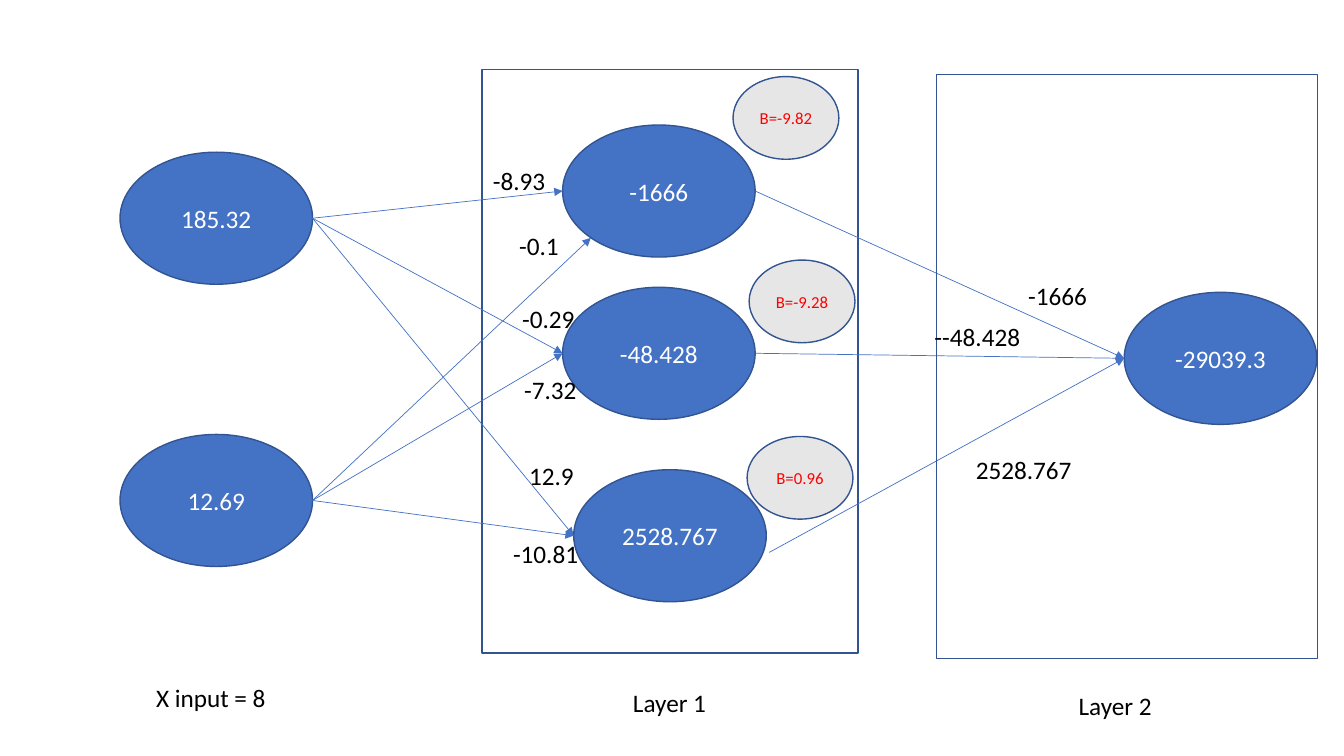
import pptx
import pptx.dml.color
import pptx.enum.shapes
import pptx.enum.text
import pptx.oxml
import pptx.oxml.ns
import pptx.util
from pptx.util import Inches, Pt

RGBColor = pptx.dml.color.RGBColor
MSO_SHAPE = pptx.enum.shapes.MSO_SHAPE
PP_ALIGN = pptx.enum.text.PP_ALIGN

WHITE = RGBColor(0xFF, 0xFF, 0xFF)
BLACK = RGBColor(0, 0, 0)
RED = RGBColor(0xFF, 0, 0)
BLUE = RGBColor(0x44, 0x72, 0xC4)
OUTLINE = RGBColor(0x32, 0x54, 0x91)
GREY = RGBColor(0xE7, 0xE6, 0xE6)

FONT = "Calibri"
NODE_SIZE = (1.91, 1.31)
BIAS_SIZE = (1.05, 0.82)
LABEL_HEIGHT = 0.4

LAYER_1_FRAME = (4.78, 0.69, 3.73, 5.79)
LAYER_2_FRAME = (9.29, 0.74, 3.78, 5.79)

# name: (text, left, top)
NODES = {
    "input 1": ("185.32", 1.19, 1.51),
    "input 2": ("12.69", 1.19, 4.31),
    "output": ("-29039.3", 11.15, 2.9),
    "hidden 1": ("-1666", 5.58, 1.24),
    "hidden 2": ("-48.428", 5.58, 2.85),
    "hidden 3": ("2528.767", 5.69, 4.66),
}
BIASES = [
    ("B=-9.82", 7.27, 0.76),
    ("B=-9.28", 7.43, 2.58),
    ("B=0.96", 7.41, 4.33),
]
LINKS = [
    ("input 1", "hidden 1"),
    ("input 2", "hidden 1"),
    ("input 1", "hidden 2"),
    ("input 2", "hidden 2"),
    ("input 1", "hidden 3"),
    ("input 2", "hidden 3"),
    ("hidden 1", "output"),
    ("hidden 2", "output"),
    ("hidden 3", "output"),
]
# Arrow ends that do not sit at the left or right middle of a node
SPECIAL_STARTS = {("hidden 3", "output"): (7.63, 5.48)}
SPECIAL_ENDS = {("input 2", "hidden 1"): (5.86, 2.36)}

# text, left, top, width
LABELS = [
    ("-8.93", 4.79, 1.59, 1.07),
    ("-0.1", 5.05, 2.24, 1.07),
    ("-0.29", 5.08, 2.96, 1.07),
    ("-7.32", 5.1, 3.66, 1.07),
    ("12.9", 5.15, 4.52, 1.07),
    ("-10.81", 4.99, 5.29, 1.07),
    ("2528.767", 9.58, 4.46, 1.57),
    ("--48.428", 9.17, 3.14, 1.07),
    ("-1666", 10.1, 2.73, 1.07),
    ("X input = 8", 1.45, 6.72, 1.34),
    ("Layer 1", 6.18, 6.77, 1.07),
    ("Layer 2", 10.6, 6.8, 1.07),
]


def write(shape, text, size, color, align):
    para = shape.text_frame.paragraphs[0]
    para.text = text
    para.alignment = align
    font = para.runs[0].font
    font.name, font.size, font.color.rgb = FONT, Pt(size), color


def add_outlined(page, kind, bounds, fill):
    """Add a preset shape with the common outline; fill None leaves it open."""
    shape = page.shapes.add_shape(kind, *map(Inches, bounds))
    shape.shadow.inherit = False
    if fill is None:
        shape.fill.background()
    else:
        shape.fill.solid()
        shape.fill.fore_color.rgb = fill
    shape.line.color.rgb = OUTLINE
    shape.line.width = Pt(1)
    return shape


def add_oval(page, text, left, top, dimensions, fill, size, color):
    oval = add_outlined(page, MSO_SHAPE.OVAL, (left, top, *dimensions), fill)
    oval.text_frame.vertical_anchor = pptx.enum.text.MSO_ANCHOR.MIDDLE
    write(oval, text, size, color, PP_ALIGN.CENTER)


def add_arrow(page, start, end):
    arrow = page.shapes.add_connector(
        pptx.enum.shapes.MSO_CONNECTOR.STRAIGHT, *map(Inches, (*start, *end)))
    arrow.line.color.rgb = BLUE
    arrow.line.width = Pt(0.5)
    head = pptx.oxml.parse_xml(
        f'<a:tailEnd {pptx.oxml.ns.nsdecls("a")} type="triangle"/>')
    arrow.line._get_or_add_ln().append(head)
    arrow._element.spPr.append(
        pptx.oxml.parse_xml(f'<a:effectLst {pptx.oxml.ns.nsdecls("a")}/>'))


def add_label(page, text, left, top, width):
    box = page.shapes.add_textbox(*map(Inches, (left, top, width, LABEL_HEIGHT)))
    box.text_frame.word_wrap = True
    write(box, text, 18, BLACK, PP_ALIGN.LEFT)


def side_middle(name, right):
    """Return the middle of a node's right or left side."""
    _, left, top = NODES[name]
    width, height = NODE_SIZE
    return left + (width if right else 0), top + height / 2


def main():
    deck = pptx.Presentation()
    deck.slide_width, deck.slide_height = Inches(13.33), Inches(7.5)
    page = deck.slides.add_slide(deck.slide_layouts[6])

    add_outlined(page, MSO_SHAPE.RECTANGLE, LAYER_1_FRAME, WHITE)
    for text, left, top in NODES.values():
        add_oval(page, text, left, top, NODE_SIZE, BLUE, 18, WHITE)
    for link in LINKS:
        source, target = link
        start = SPECIAL_STARTS.get(link, side_middle(source, right=True))
        end = SPECIAL_ENDS.get(link, side_middle(target, right=False))
        add_arrow(page, start, end)
    for text, left, top in BIASES:
        add_oval(page, text, left, top, BIAS_SIZE, GREY, 12, RED)
    add_outlined(page, MSO_SHAPE.RECTANGLE, LAYER_2_FRAME, None)
    for label in LABELS:
        add_label(page, *label)

    deck.save("out.pptx")


if __name__ == "__main__":
    main()
